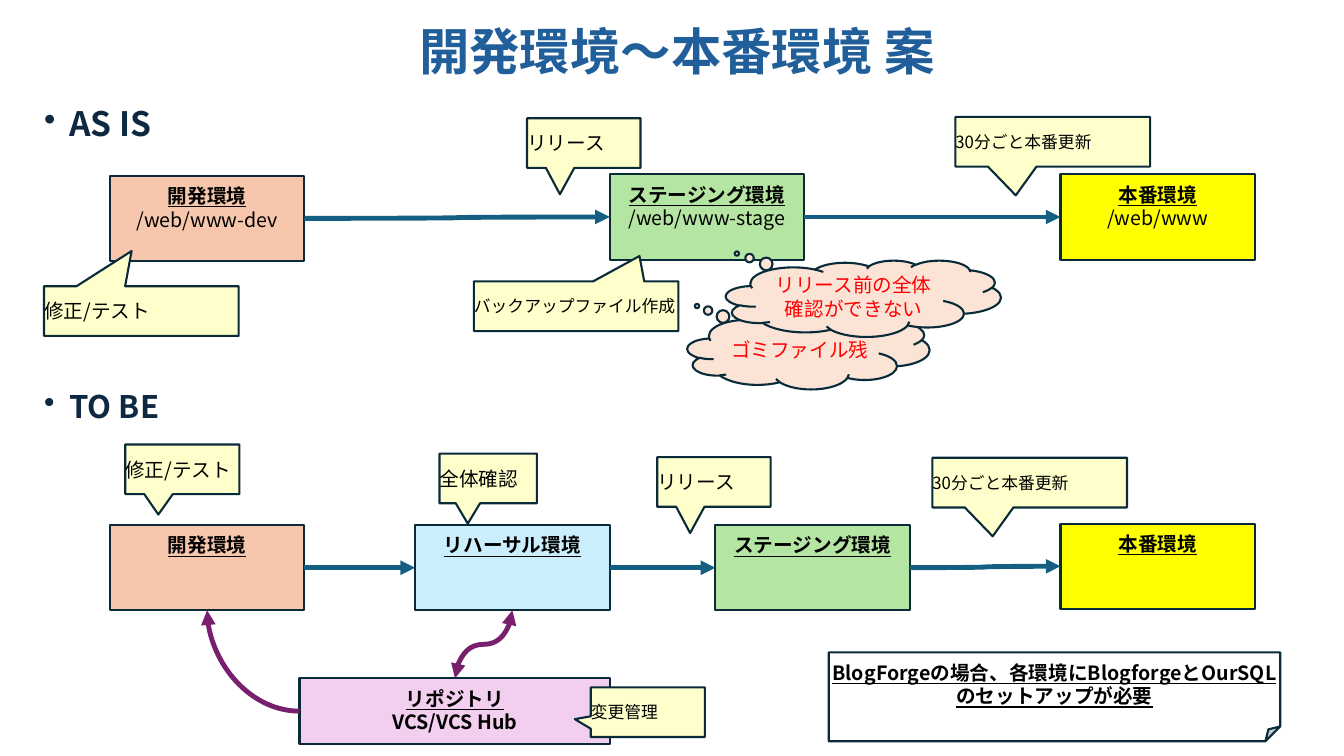
from dataclasses import dataclass

from lxml import etree
from pptx import Presentation
from pptx.dml.color import RGBColor
from pptx.enum.shapes import MSO_CONNECTOR, MSO_SHAPE
from pptx.enum.text import MSO_ANCHOR, PP_ALIGN
from pptx.oxml.ns import qn
from pptx.util import Pt

RECT = MSO_SHAPE.RECTANGLE
CALLOUT = MSO_SHAPE.RECTANGULAR_CALLOUT
CLOUD = MSO_SHAPE.CLOUD_CALLOUT
NOTE = MSO_SHAPE.FOLDED_CORNER
CURVE = MSO_CONNECTOR.CURVE
TOP, MIDDLE = MSO_ANCHOR.TOP, MSO_ANCHOR.MIDDLE
LEFT, CENTER = PP_ALIGN.LEFT, PP_ALIGN.CENTER
SIDE_TOP, SIDE_LEFT, SIDE_BOTTOM, SIDE_RIGHT = range(4)


@dataclass(frozen=True)
class Theme:
    font: str = "Noto Sans CJK JP"
    title: str = "215F9A"
    heading: str = "0E2841"
    text: str = "000000"
    warning: str = "FF0000"
    outline: str = "092A39"
    flow: str = "156082"
    sync: str = "78206E"
    dev: str = "F6C6AD"
    rehearsal: str = "CAEEFB"
    stage: str = "B4E5A2"
    live: str = "FFFF00"
    repository: str = "F2CFEE"
    callout: str = "FFFFCC"
    cloud: str = "FBE3D6"
    note: str = "FFFFFF"
    title_size: float = 36
    as_is_size: float = 24
    to_be_size: float = 22.2
    body_size: float = 14
    small_size: float = 12


theme = Theme()
deck = Presentation()
deck.slide_width, deck.slide_height = Pt(960), Pt(540)
page = deck.slides.add_slide(deck.slide_layouts[6])


def write(shape, text, size, color, align, anchor, bold=False):
    frame = shape.text_frame
    frame.word_wrap = True
    frame.vertical_anchor = anchor
    frame.text = text
    for para in frame.paragraphs:
        para.alignment = align
        for span in para.runs:
            span.font.name = theme.font
            span.font.size = Pt(size)
            span.font.bold = bold
            span.font.color.rgb = RGBColor.from_string(color)
            east_asian = etree.SubElement(span.font._element, qn("a:ea"))
            east_asian.set("typeface", theme.font)
    return frame


def add_panel(kind, bounds, fill):
    """Add an outlined, filled shape without a shadow."""
    shape = page.shapes.add_shape(kind, *map(Pt, bounds))
    shape.shadow.inherit = False
    shape.fill.solid()
    shape.fill.fore_color.rgb = RGBColor.from_string(fill)
    shape.line.color.rgb = RGBColor.from_string(theme.outline)
    shape.line.width = Pt(1.5)
    return shape


# Title and section headings
title = page.shapes.add_textbox(Pt(24.5), Pt(13), Pt(918), Pt(51))
frame = write(title, "開発環境～本番環境 案", theme.title_size, theme.title,
              CENTER, MIDDLE, bold=True)
frame.paragraphs[0].line_spacing = 0.9

for text, top, height, size, spacing in [
    ("AS IS", 73.5, 51, theme.as_is_size, 0.9),
    ("TO BE", 278.5, 29.5, theme.to_be_size, 0.8),
]:
    heading = page.shapes.add_textbox(Pt(24.5), Pt(top), Pt(918), Pt(height))
    frame = write(heading, text, size, theme.heading, LEFT, TOP, bold=True)
    para = frame.paragraphs[0]
    para.line_spacing = spacing
    para.space_before = Pt(10)
    properties = para._p.get_or_add_pPr()
    properties.set("marL", str(Pt(18)))
    properties.set("indent", str(Pt(-18)))
    etree.SubElement(properties, qn("a:buChar")).set("char", "•")

# Environments, the repository and the note
ENV_SIZE = (139, 61)
boxes = {}
for name, kind, bounds, fill, text, second_bold in [
    ("old dev", RECT, (78.5, 125.5, *ENV_SIZE), theme.dev,
     "開発環境\n/web/www-dev", False),
    ("old stage", RECT, (435.5, 124.5, *ENV_SIZE), theme.stage,
     "ステージング環境\n/web/www-stage", False),
    ("old live", RECT, (757.5, 124.5, *ENV_SIZE), theme.live,
     "本番環境\n/web/www", False),
    ("dev", RECT, (78.5, 375, *ENV_SIZE), theme.dev, "開発環境", False),
    ("rehearsal", RECT, (296.5, 375, *ENV_SIZE), theme.rehearsal,
     "リハーサル環境", False),
    ("stage", RECT, (511, 375, *ENV_SIZE), theme.stage,
     "ステージング環境", False),
    ("live", RECT, (757.5, 374, *ENV_SIZE), theme.live, "本番環境", False),
    ("repository", RECT, (214, 484.5, 222, 47), theme.repository,
     "リポジトリ\nVCS/VCS Hub", True),
    ("note", NOTE, (592, 466, 322.5, 63.5), theme.note,
     "BlogForgeの場合、各環境にBlogforgeとOurSQLのセットアップが必要", False),
]:
    boxes[name] = box = add_panel(kind, bounds, fill)
    frame = write(box, text, theme.body_size, theme.text, CENTER, TOP, bold=True)
    frame.margin_left = frame.margin_right = frame.margin_bottom = 0
    frame.margin_top = Pt(6)
    frame.paragraphs[0].runs[0].font.underline = True
    for para in frame.paragraphs[1:]:
        para.runs[0].font.bold = second_bold

# Arrows between the boxes
arrows = {}
for start, start_side, end, end_side, color in [
    ("old dev", SIDE_RIGHT, "old stage", SIDE_LEFT, theme.flow),
    ("old stage", SIDE_RIGHT, "old live", SIDE_LEFT, theme.flow),
    ("dev", SIDE_RIGHT, "rehearsal", SIDE_LEFT, theme.flow),
    ("rehearsal", SIDE_RIGHT, "stage", SIDE_LEFT, theme.flow),
    ("stage", SIDE_RIGHT, "live", SIDE_LEFT, theme.flow),
    ("repository", SIDE_LEFT, "dev", SIDE_BOTTOM, theme.sync),
    ("repository", SIDE_TOP, "rehearsal", SIDE_BOTTOM, theme.sync),
]:
    arrow = page.shapes.add_connector(CURVE, 0, 0, 0, 0)
    arrow.begin_connect(boxes[start], start_side)
    arrow.end_connect(boxes[end], end_side)
    arrow.line.color.rgb = RGBColor.from_string(color)
    arrow.line.width = Pt(3.5)
    line = arrow.line._get_or_add_ln()
    etree.SubElement(line, qn("a:tailEnd")).set("type", "triangle")
    etree.SubElement(arrow._element.spPr, qn("a:effectLst"))
    arrows[start, end] = arrow

quarter_turn = arrows["repository", "dev"]._element.spPr
quarter_turn.find(qn("a:prstGeom")).set("prst", "curvedConnector2")

# The two-way arrow leaves and arrives vertically, so its frame is turned by 90°
two_way = arrows["repository", "rehearsal"]
center_x = two_way.left + two_way.width // 2
center_y = two_way.top + two_way.height // 2
two_way.width, two_way.height = two_way.height, two_way.width
two_way.left = center_x - two_way.width // 2
two_way.top = center_y - two_way.height // 2
transform = two_way._element.spPr.find(qn("a:xfrm"))
for key, value in [("rot", "5400000"), ("flipH", "1"), ("flipV", "1")]:
    transform.set(key, value)
head = etree.Element(qn("a:headEnd"), type="triangle")
two_way.line._get_or_add_ln().find(qn("a:tailEnd")).addprevious(head)

# Callouts: left, top, width, pointer, size, text
for left, top, width, pointer, size, text in [
    (31.5, 204.5, 139, (-0.05, -1.21), theme.body_size, "修正/テスト"),
    (338.5, 201, 146, (0.31, -1.01), theme.small_size, "バックアップファイル作成"),
    (89.5, 317.5, 81.5, (-0.21, 0.91), theme.body_size, "修正/テスト"),
    (314, 324, 69.5, (-0.21, 0.91), theme.body_size, "全体確認"),
    (682.5, 83.5, 139, (-0.19, 1.08), theme.small_size, "30分ごと本番更新"),
    (666, 327, 139, (-0.19, 1.08), theme.small_size, "30分ごと本番更新"),
    (422, 491, 81.5, (-0.64, 0.14), theme.small_size, "変更管理"),
    (376.5, 84.5, 81, (-0.21, 1.03), theme.body_size, "リリース"),
    (469.5, 326.5, 81, (-0.21, 1.03), theme.body_size, "リリース"),
]:
    callout = add_panel(CALLOUT, (left, top, width, 35.5), theme.callout)
    callout.adjustments[0], callout.adjustments[1] = pointer
    frame = write(callout, text, size, theme.text, LEFT, MIDDLE)
    frame.margin_left = frame.margin_right = 0
    frame.margin_top = frame.margin_bottom = 0

# Problem clouds
for bounds, text in [
    ((491, 223.5, 173, 54.5), "ゴミファイル残"),
    ((518.5, 186, 196.5, 54.5), "リリース前の全体確認ができない"),
]:
    cloud = add_panel(CLOUD, bounds, theme.cloud)
    cloud.adjustments[0], cloud.adjustments[1] = -0.46, -0.59
    write(cloud, text, theme.body_size, theme.warning, CENTER, MIDDLE)

deck.save("out.pptx")
